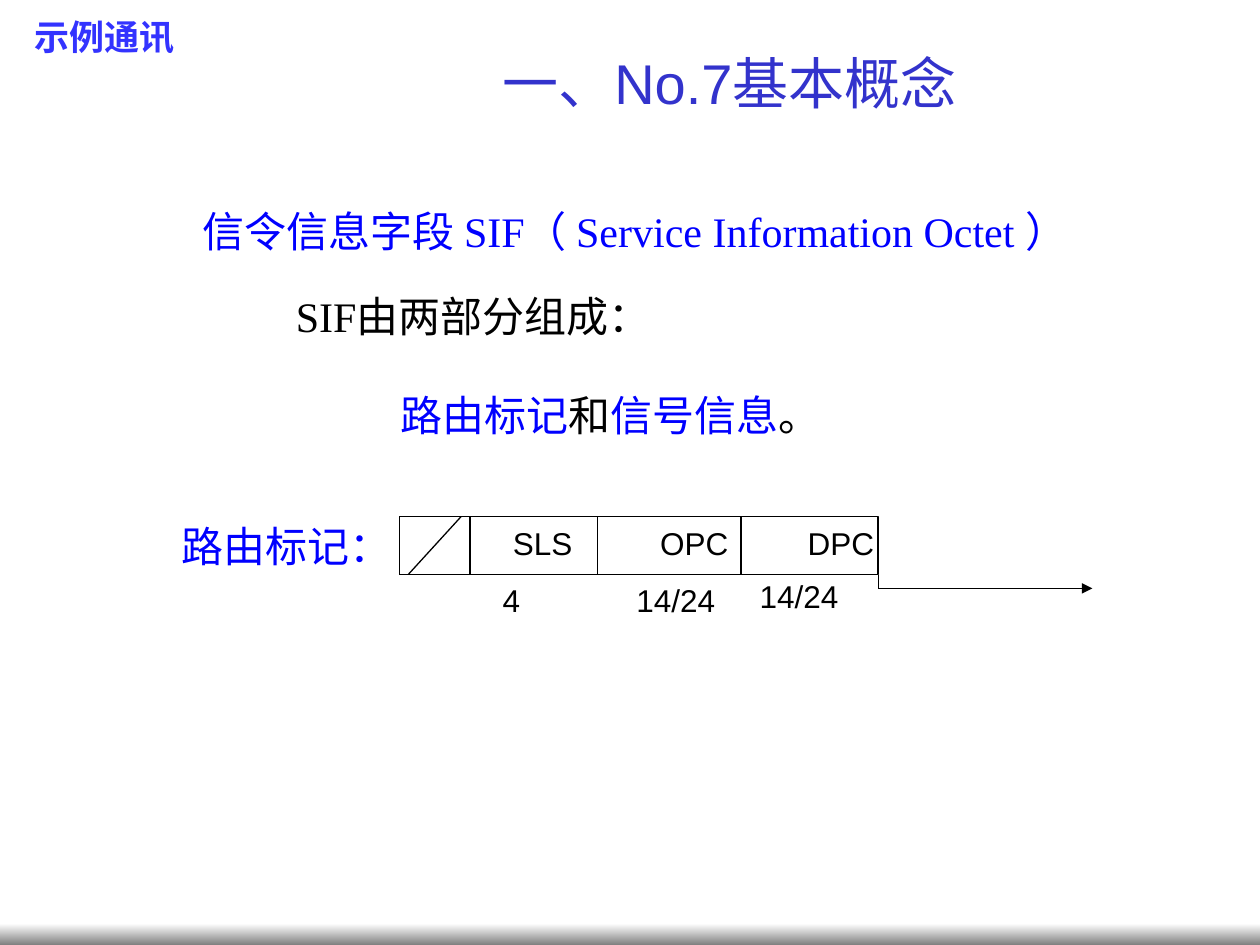
from lxml import etree
from pptx import Presentation
from pptx.dml.color import RGBColor
from pptx.enum.shapes import MSO_CONNECTOR, MSO_SHAPE
from pptx.enum.text import MSO_ANCHOR, PP_ALIGN
from pptx.oxml.ns import qn
from pptx.util import Inches, Pt

BLACK = RGBColor(0x00, 0x00, 0x00)
WHITE = RGBColor(0xFF, 0xFF, 0xFF)
GRAY = RGBColor(0x80, 0x80, 0x80)
BLUE = RGBColor(0x00, 0x00, 0xFF)
BRAND_BLUE = RGBColor(0x33, 0x33, 0xFF)
TITLE_BLUE = RGBColor(0x33, 0x33, 0xCC)
SERIF = "Times New Roman"
SANS = "Arial"
CHINESE = "Noto Sans CJK SC"


def style(paragraph, size, name, color, bold=False):
    font = paragraph.font
    font.size, font.name, font.bold = Pt(size), name, bold
    font.color.rgb = color


def add_text_box(slide, left, top, width, height, wrap=True, inset=True):
    box = slide.shapes.add_textbox(Inches(left), Inches(top), Inches(width), Inches(height))
    frame = box.text_frame
    frame.word_wrap = wrap
    if not inset:
        frame.margin_left = frame.margin_right = 0
        frame.margin_top = frame.margin_bottom = 0
    return frame


def add_label(slide, text, left, top, width, height, size, name, color, **options):
    paragraph = add_text_box(slide, left, top, width, height, **options).paragraphs[0]
    paragraph.text = text
    style(paragraph, size, name, color)
    return paragraph


def add_line(slide, start_x, start_y, end_x, end_y, arrow=False):
    line = slide.shapes.add_connector(
        MSO_CONNECTOR.STRAIGHT,
        Inches(start_x), Inches(start_y), Inches(end_x), Inches(end_y),
    )
    line.line.color.rgb = BLACK
    line.line.width = Pt(0.75)
    if arrow:
        etree.SubElement(line.line._get_or_add_ln(), qn("a:tailEnd"), type="triangle")
    etree.SubElement(line._element.spPr, qn("a:effectLst"))


def add_footer_band(slide, left, top, width, height):
    band = slide.shapes.add_shape(
        MSO_SHAPE.RECTANGLE, Inches(left), Inches(top), Inches(width), Inches(height)
    )
    band.shadow.inherit = False
    band.line.fill.background()
    band.fill.gradient()
    band.fill.gradient_angle = 270
    for stop, color in zip(band.fill.gradient_stops, (WHITE, GRAY)):
        stop.color.rgb = color


def add_company_name(slide, left, top, width, height):
    paragraph = add_label(
        slide, "示例通讯", left, top, width, height, 20, SERIF, BRAND_BLUE
    )
    paragraph.font.bold = True
    paragraph.alignment = PP_ALIGN.CENTER


def add_title(slide, left, top, width, height):
    frame = add_text_box(slide, left, top, width, height)
    frame.vertical_anchor = MSO_ANCHOR.MIDDLE
    paragraph = frame.paragraphs[0]
    paragraph.alignment = PP_ALIGN.CENTER
    for text, name in (("一、No.7", SANS), ("基本概念", CHINESE)):
        run = paragraph.add_run()
        run.text = text
        run.font.name = name
    style(paragraph, 32, SANS, TITLE_BLUE)


def add_composition(slide, left, top, width, height):
    frame = add_text_box(slide, left, top, width, height)
    introduction = frame.paragraphs[0]
    introduction.text = "SIF由两部分组成："
    parts = frame.add_paragraph()
    parts.space_before = Pt(15)
    parts._p.get_or_add_pPr().set("marL", str(Inches(0.83)))
    for text, color in (("路由标记", BLUE), ("和", BLACK), ("信号信息", BLUE), ("。", BLACK)):
        run = parts.add_run()
        run.text = text
        run.font.color.rgb = color
    for paragraph in frame.paragraphs:
        paragraph.line_spacing = 1.44
        style(paragraph, 24, SERIF, BLACK)


def add_routing_label(slide, left, top, width, height):
    right, bottom = left + width, top + height
    bar = slide.shapes.add_shape(
        MSO_SHAPE.RECTANGLE, Inches(left), Inches(top), Inches(width), Inches(height)
    )
    bar.shadow.inherit = False
    bar.fill.solid()
    bar.fill.fore_color.rgb = WHITE
    bar.line.color.rgb = BLACK
    bar.line.width = Pt(0.75)

    frame = bar.text_frame
    frame.margin_left = frame.margin_right = frame.margin_top = frame.margin_bottom = 0
    frame.vertical_anchor = MSO_ANCHOR.TOP
    paragraph = frame.paragraphs[0]
    paragraph.text = "\tSLS\tOPC\tDPC"
    paragraph.alignment = PP_ALIGN.LEFT
    paragraph.line_spacing = 1.2
    tabs = etree.SubElement(paragraph._p.get_or_add_pPr(), qn("a:tabLst"))
    for index in range(3):
        position = Inches(0.9 + 1.17 * index)
        etree.SubElement(tabs, qn("a:tab"), pos=str(position), algn="l")
    style(paragraph, 18, SANS, BLACK)

    for offset in (0, 0.56, 1.57, 2.71):
        add_line(slide, left + offset, top, left + offset, bottom)
    add_line(slide, left + 0.07, bottom, left + 0.49, top)
    arrow_y = bottom + 0.11
    add_line(slide, right, bottom, right, arrow_y)
    add_line(slide, right, arrow_y, right + 1.7, arrow_y, arrow=True)

    for text, offset, drop in (("4", 0.82, 0.05), ("14/24", 1.88, 0.05), ("14/24", 2.86, 0.02)):
        add_label(
            slide, text, left + offset, bottom + drop, 0.73, 0.23,
            18, SANS, BLACK, inset=False,
        )


def main():
    presentation = Presentation()
    presentation.slide_width, presentation.slide_height = Inches(10), Inches(7.5)
    slide = presentation.slides.add_slide(presentation.slide_layouts[6])
    add_footer_band(slide, 0, 7.33, 10, 0.17)
    add_company_name(slide, 0.08, 0.07, 1.5, 0.44)
    add_label(
        slide, "信令信息字段 SIF（ Service Information Octet ）",
        1.51, 1.58, 7.39, 0.5, 24, SERIF, BLUE, wrap=False,
    )
    add_title(slide, 2, 0.33, 7.58, 0.64)
    add_composition(slide, 2.25, 2.08, 6.08, 1.46)
    add_routing_label(slide, 3.17, 4.1, 3.8, 0.46)
    add_label(slide, "路由标记：", 1.34, 4.08, 1.86, 0.5, 24, SERIF, BLUE, wrap=False)
    presentation.save("out.pptx")


if __name__ == "__main__":
    main()
